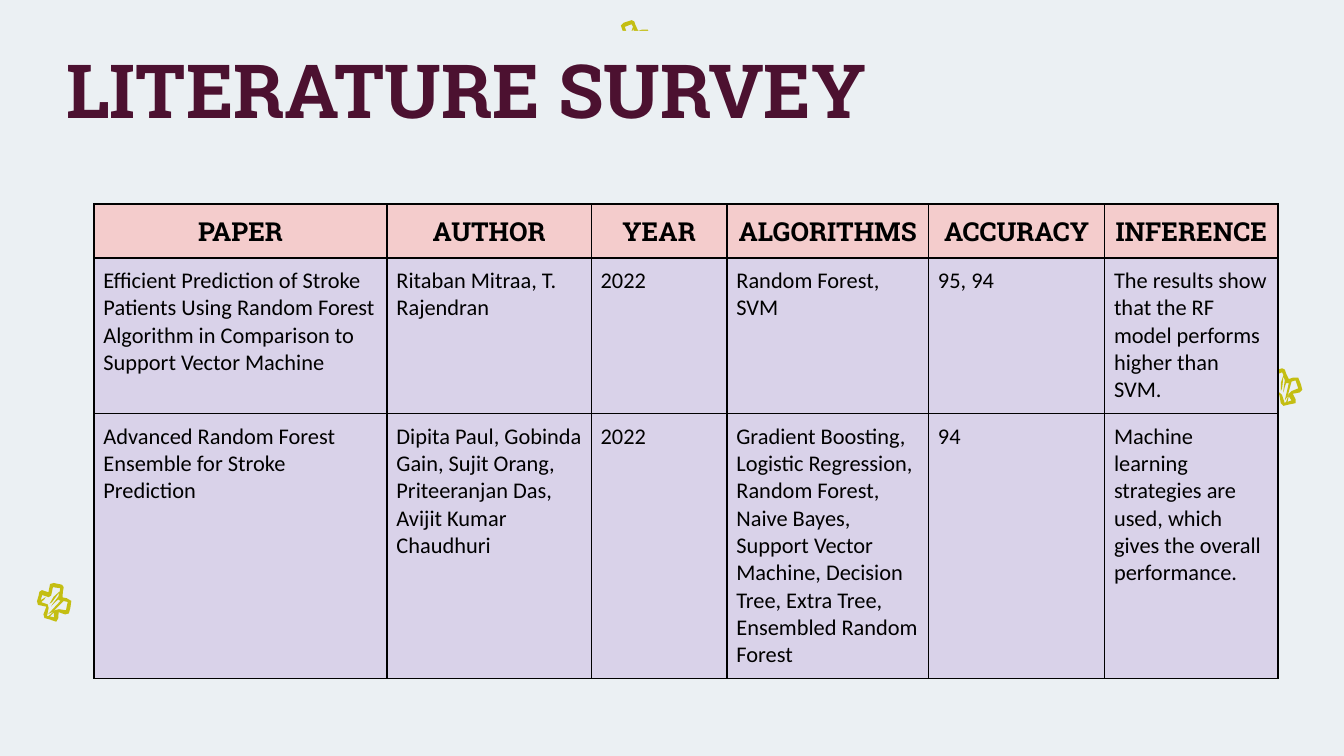
"""Build the literature survey slide with its table of stroke prediction papers."""
from lxml.etree import SubElement
from pptx import Presentation
from pptx.dml.color import RGBColor
from pptx.enum.shapes import MSO_SHAPE
from pptx.enum.text import MSO_ANCHOR, PP_ALIGN
from pptx.oxml import parse_xml
from pptx.oxml.ns import nsdecls
from pptx.util import Inches, Pt

BACKGROUND = RGBColor(0xEB, 0xF0, 0xF3)
OLIVE = RGBColor(0xC4, 0xBE, 0x12)
PLUM = RGBColor(0x4C, 0x11, 0x30)
PINK = RGBColor(0xF4, 0xCC, 0xCC)
LAVENDER = RGBColor(0xD9, 0xD2, 0xE9)
BLACK = RGBColor(0x00, 0x00, 0x00)

CROSS_CONTOURS = [
    [(17, 8), (20, 7), (24, 7), (26, 12), (27, 16), (25, 18), (20, 19),
     (22, 23), (22, 26), (17, 27), (13, 28), (11, 26), (10, 20), (4, 22),
     (2, 20), (1, 16), (0, 13), (1, 11), (6, 10), (5, 7), (4, 4), (6, 2),
     (12, 0), (14, 1), (15, 4)],
    [(12, 3), (7, 5), (9, 11), (8, 13), (3, 14), (4, 18), (6, 14), (6, 16),
     (5, 19), (10, 18), (12, 20), (14, 26), (15, 25), (17, 19), (19, 17),
     (24, 15), (22, 9), (19, 10), (16, 21), (14, 24), (17, 11), (15, 11),
     (14, 14), (13, 18), (13, 16), (14, 9), (13, 6), (12, 15), (11, 17),
     (11, 11), (13, 5)],
    [(16, 25), (19, 24), (17, 21)],
]
CROSS_PLACES = [(9.42, 2.74, 0), (4.58, 0.15, 0), (0.27, 4.34, 30)]

COLUMN_WIDTHS = [2.18, 1.52, 1.01, 1.5, 1.31, 1.29]
ROW_HEIGHTS = [0.39, 1.16, 1.97]
SURVEY = [
    ["PAPER", "AUTHOR", "YEAR", "ALGORITHMS", "ACCURACY", "INFERENCE"],
    ["Efficient Prediction of Stroke Patients Using Random Forest Algorithm "
     "in Comparison to Support Vector Machine",
     "Ritaban Mitraa, T. Rajendran", "2022", "Random Forest, SVM", "95, 94",
     "The results show that the RF model performs higher than SVM."],
    ["Advanced Random Forest Ensemble for Stroke Prediction",
     "Dipita Paul, Gobinda Gain, Sujit Orang, Priteeranjan Das, "
     "Avijit Kumar Chaudhuri", "2022",
     "Gradient Boosting, Logistic Regression, Random Forest, Naive Bayes, "
     "Support Vector Machine, Decision Tree, Extra Tree, Ensembled Random Forest",
     "94",
     "Machine learning strategies are used, which gives the overall performance."],
]


def format_text(paragraph, font_name, size, color, bold, alignment):
    paragraph.alignment = alignment
    font = paragraph.runs[0].font
    font.name = font_name
    font.size = Pt(size)
    font.bold = bold
    font.color.rgb = color


def add_borders(cell):
    properties = cell._tc.get_or_add_tcPr()
    for position, side in enumerate(("lnL", "lnR", "lnT", "lnB")):
        border = parse_xml(f'<a:{side} {nsdecls("a")} w="{Pt(1)}"/>')
        fill = SubElement(border, f"{{{border.nsmap['a']}}}solidFill")
        SubElement(fill, f"{{{border.nsmap['a']}}}srgbClr", val=str(BLACK))
        properties.insert(position, border)


presentation = Presentation()
presentation.slide_width = Inches(10)
presentation.slide_height = Inches(10) * 9 // 16
slide = presentation.slides.add_slide(presentation.slide_layouts[6])
slide.background.fill.solid()
slide.background.fill.fore_color.rgb = BACKGROUND

for left, top, rotation in CROSS_PLACES:
    outline = slide.shapes.build_freeform(*CROSS_CONTOURS[0][0], scale=Inches(0.01))
    outline.add_line_segments(CROSS_CONTOURS[0][1:], close=True)
    for contour in CROSS_CONTOURS[1:]:
        outline.move_to(*contour[0])
        outline.add_line_segments(contour[1:], close=True)
    cross = outline.convert_to_shape(Inches(left), Inches(top))
    cross.rotation = rotation
    cross.shadow.inherit = False
    cross.fill.solid()
    cross.fill.fore_color.rgb = OLIVE
    cross.line.fill.background()

title = slide.shapes.add_shape(
    MSO_SHAPE.RECTANGLE, Inches(0.25), Inches(0.23), Inches(6.44), Inches(0.75))
title.shadow.inherit = False
title.fill.solid()
title.fill.fore_color.rgb = BACKGROUND
title.line.fill.background()
title_frame = title.text_frame
title_frame.text = "LITERATURE SURVEY"
title_frame.word_wrap = True
title_frame.vertical_anchor = MSO_ANCHOR.TOP
title_frame.margin_left = title_frame.margin_right = Inches(0.1)
title_frame.margin_top = Inches(0.1)
title_frame.margin_bottom = 0
format_text(title_frame.paragraphs[0], "Roboto Slab", 40, PLUM, True, PP_ALIGN.CENTER)

survey_table = slide.shapes.add_table(
    len(SURVEY), len(COLUMN_WIDTHS), Inches(0.7), Inches(1.52),
    Inches(sum(COLUMN_WIDTHS)), Inches(sum(ROW_HEIGHTS))).table
for column, width in zip(survey_table.columns, COLUMN_WIDTHS):
    column.width = Inches(width)
for row, height, entries in zip(survey_table.rows, ROW_HEIGHTS, SURVEY):
    row.height = Inches(height)
    is_header = entries is SURVEY[0]
    for cell, entry in zip(row.cells, entries):
        cell.text_frame.text = entry
        cell.margin_left = cell.margin_right = Inches(0.07)
        cell.margin_top = cell.margin_bottom = Inches(0.07)
        cell.fill.solid()
        cell.fill.fore_color.rgb = PINK if is_header else LAVENDER
        add_borders(cell)
        paragraph = cell.text_frame.paragraphs[0]
        if is_header:
            format_text(paragraph, "Roboto Slab", 14, BLACK, True, PP_ALIGN.CENTER)
        else:
            format_text(paragraph, "Calibri", 12, BLACK, False, PP_ALIGN.LEFT)

presentation.save("out.pptx")
